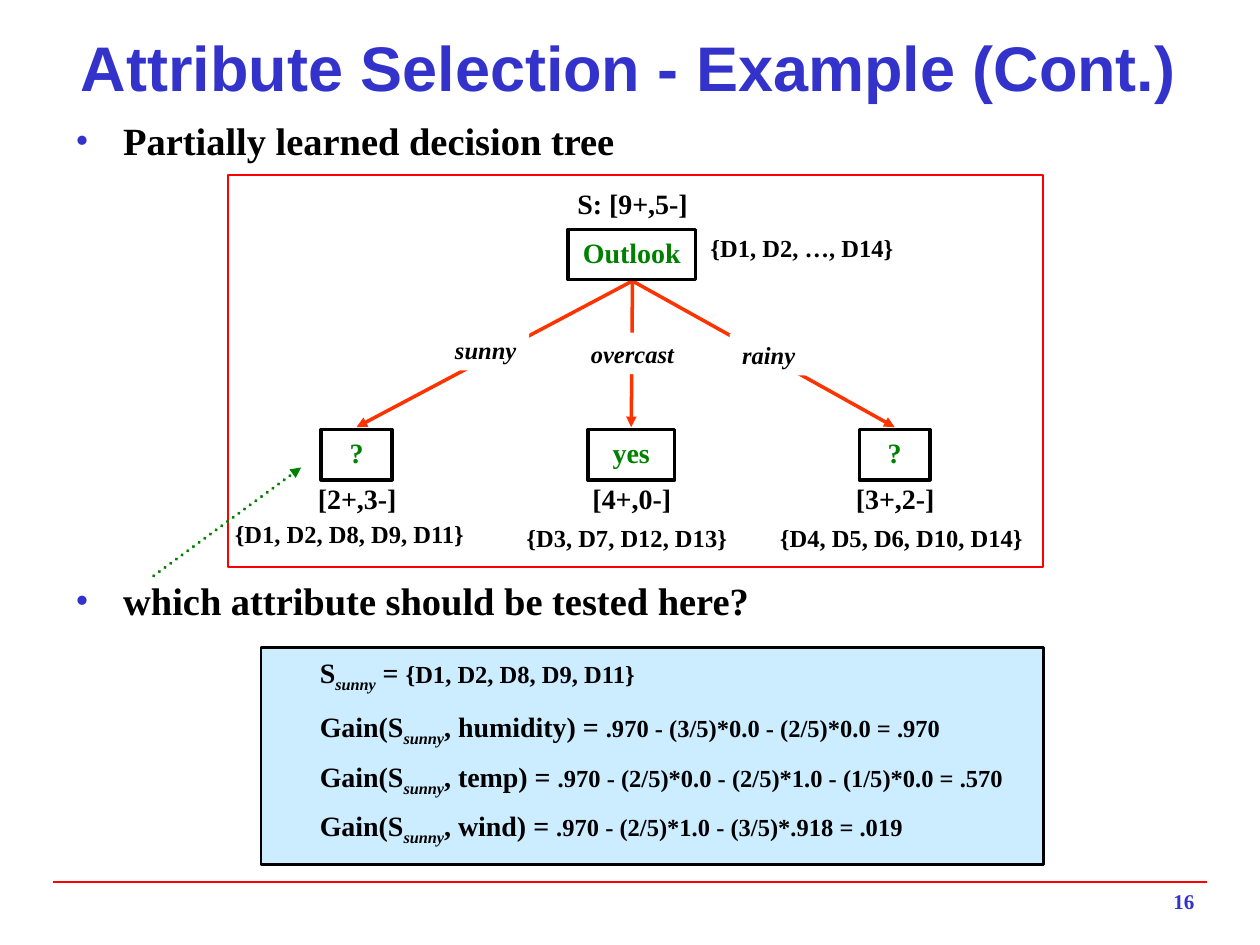
from lxml import etree
from pptx import Presentation
from pptx.dml.color import RGBColor
from pptx.enum.dml import MSO_LINE
from pptx.enum.shapes import MSO_CONNECTOR, MSO_SHAPE
from pptx.enum.text import MSO_ANCHOR, PP_ALIGN
from pptx.oxml.ns import qn
from pptx.util import Inches, Pt

STRAIGHT = MSO_CONNECTOR.STRAIGHT
RECTANGLE = MSO_SHAPE.RECTANGLE
DOTTED = MSO_LINE.ROUND_DOT
MIDDLE, TOP = MSO_ANCHOR.MIDDLE, MSO_ANCHOR.TOP
LEFT, CENTER, RIGHT = PP_ALIGN.LEFT, PP_ALIGN.CENTER, PP_ALIGN.RIGHT

COLORS = {
    "blue": "3333CC",
    "black": "000000",
    "white": "FFFFFF",
    "green": "008000",
    "red": "FF0000",
    "orange": "FF3300",
    "pale": "CCECFF",
}
SERIF, SANS = "Times New Roman", "Arial"


def color(name):
    return RGBColor.from_string(COLORS[name])


def add_span(para, text, size, tint="black", face=SERIF, italic=False, baseline=0):
    span = para.add_run()
    span.text = text
    values = {"size": Pt(size), "name": face, "bold": True, "italic": italic}
    for key, value in values.items():
        setattr(span.font, key, value)
    span.font.color.rgb = color(tint)
    if baseline:
        span._r.get_or_add_rPr().set("baseline", str(baseline * 1000))


def set_frame(shape, wrap=False, anchor=TOP):
    side = Inches(0.1 if wrap else 0.05)
    values = {
        "word_wrap": wrap,
        "vertical_anchor": anchor,
        "margin_left": side,
        "margin_right": side,
        "margin_top": Inches(0.05),
        "margin_bottom": Inches(0.05),
    }
    for key, value in values.items():
        setattr(shape.text_frame, key, value)
    return shape.text_frame.paragraphs[0]


def add_text(page, place, text, size, align=CENTER, **style):
    box = page.shapes.add_textbox(*map(Inches, place))
    para = set_frame(box)
    para.alignment = align
    add_span(para, text, size, **style)


def add_box(page, place, fill=None, line=None, width=1):
    box = page.shapes.add_shape(RECTANGLE, *map(Inches, place))
    box.shadow.inherit = False
    if fill:
        box.fill.solid()
        box.fill.fore_color.rgb = color(fill)
    else:
        box.fill.background()
    if line:
        box.line.color.rgb = color(line)
        box.line.width = Pt(width)
    else:
        box.line.fill.background()
    return box


def add_label(page, place, text, size, tint="black", italic=False, **look):
    box = add_box(page, place, **look)
    para = set_frame(box)
    para.alignment = CENTER
    add_span(para, text, size, tint, italic=italic)


def add_line(page, start, end, tint, width, dash=None, arrow=True):
    line = page.shapes.add_connector(STRAIGHT, *map(Inches, start + end))
    line.line.color.rgb = color(tint)
    line.line.width = Pt(width)
    properties = line._element.spPr
    outline = properties.find(qn("a:ln"))
    if dash:
        line.line.dash_style = dash
        outline.set("cap", "rnd")
    if arrow:
        etree.SubElement(outline, qn("a:tailEnd"), type="triangle")
    etree.SubElement(properties, qn("a:effectLst"))


def add_title(page, text):
    title = page.shapes.title
    values = {"left": 0.49, "top": 0.19, "width": 9, "height": 0.67}
    for key, value in values.items():
        setattr(title, key, Inches(value))
    para = set_frame(title, wrap=True, anchor=MIDDLE)
    para.alignment = CENTER
    add_span(para, text, 36, "blue", SANS)


def add_bullets(page, place, items):
    box = page.shapes.add_textbox(*map(Inches, place))
    para = set_frame(box, wrap=True)
    for index, (text, gap) in enumerate(items):
        if index:
            para = box.text_frame.add_paragraph()
        para.space_before = Pt(gap)
        properties = para._p.get_or_add_pPr()
        properties.set("marL", str(Inches(0.38)))
        properties.set("indent", str(-Inches(0.38)))
        tint = etree.SubElement(properties, qn("a:buClr"))
        etree.SubElement(tint, qn("a:srgbClr"), val=COLORS["blue"])
        etree.SubElement(properties, qn("a:buFont"), typeface=SERIF)
        etree.SubElement(properties, qn("a:buChar"), char="•")
        add_span(para, text, 22)


def add_tree(page):
    root = (5.02, 2.23)
    branches = [
        (2.83, "?", 0.56, "[2+,3-]", "{D1, D2, D8, D9, D11}", (1.76, 4.07, 2.03)),
        (5.01, "yes", 0.69, "[4+,0-]", "{D3, D7, D12, D13}", (4.08, 4.1, 1.79)),
        (7.1, "?", 0.56, "[3+,2-]", "{D4, D5, D6, D10, D14}", (6.09, 4.1, 2.13)),
    ]
    outcomes = [
        ("overcast", 4.59, 2.64, 0.86),
        ("sunny", 3.51, 2.61, 0.69),
        ("rainy", 5.79, 2.65, 0.62),
    ]
    for center, *_ in branches:
        add_line(page, root, (center, 3.39), "orange", 2)
    add_label(page, (4.51, 1.82, 1.01, 0.4), "Outlook", 16, "green", line="black", width=2)
    for text, left, top, width in outcomes:
        add_label(page, (left, top, width, 0.33), text, 14, italic=True, fill="white")
    add_text(page, (4.48, 1.43, 1.08, 0.37), "S: [9+,5-]", 16)
    add_text(page, (5.54, 1.8, 1.65, 0.33), "{D1, D2, …, D14}", 14)
    for center, answer, width, counts, members, place in branches:
        leaf = (center - width / 2, 3.41, width, 0.4)
        add_label(page, leaf, answer, 16, "green", line="black", width=2)
        add_text(page, (center - 0.41, 3.77, 0.83, 0.37), counts, 16)
        add_text(page, place + (0.33,), members, 14)
    add_box(page, (1.81, 1.39, 6.47, 3.11), line="red")


def add_gains(page):
    gains = [
        (5.15, "S", " = ", "{D1, D2, D8, D9, D11}"),
        (5.58, "Gain(S", ", humidity) = ", ".970 - (3/5)*0.0 - (2/5)*0.0 = .970"),
        (5.98, "Gain(S", ", temp) = ", ".970 - (2/5)*0.0 - (2/5)*1.0 - (1/5)*0.0 = .570"),
        (6.37, "Gain(S", ", wind) = ", ".970 - (2/5)*1.0 - (3/5)*.918 = .019"),
    ]
    add_box(page, (2.07, 5.14, 6.21, 1.72), fill="pale", line="black", width=1.5)
    for top, symbol, name, value in gains:
        box = page.shapes.add_textbox(*map(Inches, (2.44, top, 5.84, 0.37)))
        para = set_frame(box, wrap=True)
        para.alignment = LEFT
        add_span(para, symbol, 16)
        add_span(para, "sunny", 16, italic=True, baseline=-25)
        add_span(para, name, 16)
        add_span(para, value, 14)


def main():
    deck = Presentation()
    deck.slide_width, deck.slide_height = Inches(10), Inches(7.5)
    page = deck.slides.add_slide(deck.slide_layouts[5])
    add_line(page, (0.42, 7), (9.58, 7), "red", 1, arrow=False)
    add_text(page, (7.45, 7, 2.08, 0.33), "16", 12, RIGHT, tint="blue")
    add_title(page, "Attribute Selection - Example (Cont.)")
    add_bullets(page, (0.5, 0.88, 9, 4.2), [
        ("Partially learned decision tree", 0),
        ("which attribute should be tested here?", 236.5),
    ])
    add_tree(page)
    add_line(page, (1.22, 4.57), (2.39, 3.71), "green", 2, DOTTED)
    add_gains(page)
    deck.save("out.pptx")


main()
